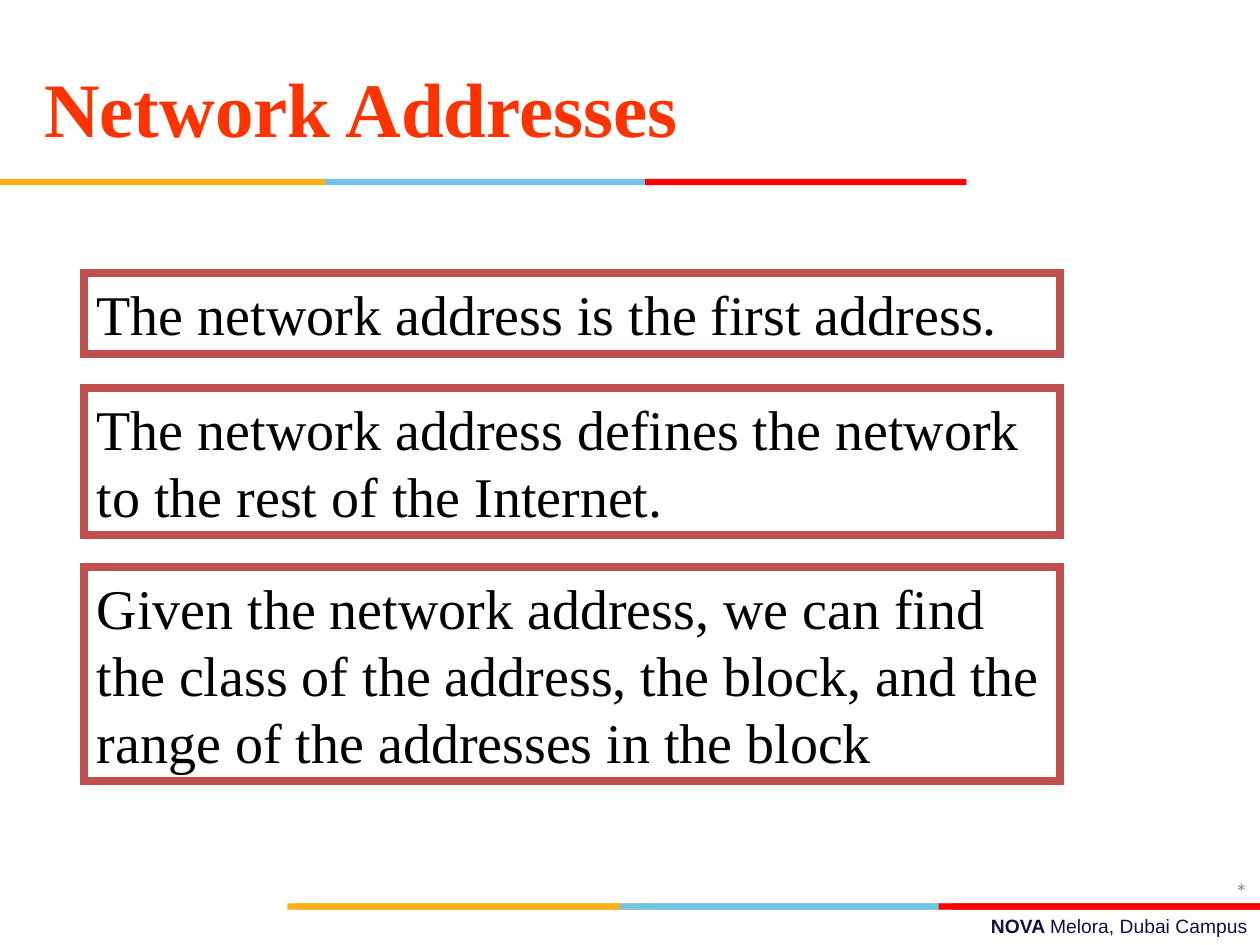
from dataclasses import dataclass

import lxml.etree
import pptx
import pptx.dml.color
import pptx.enum.shapes
import pptx.enum.text
import pptx.oxml.ns
import pptx.util

Inches = pptx.util.Inches
Align = pptx.enum.text.PP_ALIGN
Anchor = pptx.enum.text.MSO_ANCHOR
SERIF = "Times New Roman"
YELLOW, BLUE, RED = "FCB017", "76C2E5", "FF0000"


@dataclass
class Stripe:
    left: float
    top: float
    width: float
    color: str


@dataclass
class Span:
    text: str
    size: float
    font: str
    color: str
    bold: bool = False


@dataclass
class Statement:
    top: float
    height: float
    text: str


def rgb(value: str) -> pptx.dml.color.RGBColor:
    return pptx.dml.color.RGBColor.from_string(value)


def place(box, left: float, top: float, width: float, height: float) -> None:
    box.left, box.top = Inches(left), Inches(top)
    box.width, box.height = Inches(width), Inches(height)


def write(box, spans: list[Span], align=Align.LEFT, anchor=Anchor.TOP) -> None:
    frame = box.text_frame
    frame.word_wrap = True
    frame.auto_size = pptx.enum.text.MSO_AUTO_SIZE.NONE
    frame.vertical_anchor = anchor
    para = frame.paragraphs[0]
    para.alignment = align
    para.line_spacing = 1.0
    for span in spans:
        run = para.add_run()
        run.text = span.text
        run.font.size = pptx.util.Pt(span.size)
        run.font.name = span.font
        run.font.bold = span.bold
        run.font.color.rgb = rgb(span.color)


def add_rectangle(page, left: float, top: float, width: float, height: float):
    box = page.shapes.add_shape(
        pptx.enum.shapes.MSO_SHAPE.RECTANGLE,
        Inches(left), Inches(top), Inches(width), Inches(height))
    box.shadow.inherit = False
    return box


def add_stripe(page, stripe: Stripe) -> None:
    box = add_rectangle(page, stripe.left, stripe.top, stripe.width, 0.05)
    box.fill.solid()
    box.fill.fore_color.rgb = rgb(stripe.color)
    box.line.fill.background()


def add_statement(page, statement: Statement) -> None:
    box = add_rectangle(page, 0.67, statement.top, 7.74, statement.height)
    box.fill.background()
    box.line.color.rgb = rgb("C0504D")
    box.line.width = pptx.util.Pt(4.5)
    miter = lxml.etree.SubElement(
        box.get_or_add_ln(), pptx.oxml.ns.qn("a:miter"))
    miter.set("lim", "800000")
    write(box, [Span(statement.text, 32, SERIF, "000000")])


def add_label(page, left: float, top: float, width: float, height: float,
              spans: list[Span], anchor=Anchor.TOP) -> None:
    box = page.shapes.add_textbox(
        Inches(left), Inches(top), Inches(width), Inches(height))
    write(box, spans, Align.RIGHT, anchor)


STRIPES = [
    Stripe(5.06, 7.17, 2.55, BLUE),
    Stripe(7.56, 7.17, 2.44, "E31C24"),
    Stripe(2.28, 7.17, 2.82, YELLOW),
    Stripe(4.92, 7.17, 2.55, BLUE),
    Stripe(2.33, 7.17, 2.58, YELLOW),
    Stripe(7.45, 7.17, 2.55, RED),
    Stripe(2.58, 1.42, 2.55, BLUE),
    Stripe(0, 1.42, 2.58, YELLOW),
    Stripe(5.12, 1.42, 2.55, RED),
]
STATEMENTS = [
    Statement(2.17, 0.64, "The network address is the first address."),
    Statement(3.08, 1.17, "The network address defines the network "
                          "to the rest of the Internet."),
    Statement(4.5, 1.7, "Given the network address, we can find the class "
                        "of the address, the block, and the range of the "
                        "addresses in the block"),
]

deck = pptx.Presentation()
deck.slide_width, deck.slide_height = Inches(10), Inches(7.5)
page = deck.slides.add_slide(deck.slide_layouts.get_by_name("Title Only"))

add_label(page, 3.58, 7.21, 6.42, 0.29, [
    Span("NOVA ", 11, "Arial", "101141", True),
    Span("Melora, Dubai Campus", 11, "Arial", "101141"),
])
for stripe in STRIPES:
    add_stripe(page, stripe)
add_label(page, 7.92, 6.83, 2.08, 0.5,
          [Span("*", 14, "Calibri", "898989")], Anchor.MIDDLE)

title = page.shapes.title
place(title, 0.25, 0.43, 5.5, 0.84)
write(title, [Span("Network Addresses", 44, SERIF, "FF3300", True)])
for statement in STATEMENTS:
    add_statement(page, statement)

deck.save("out.pptx")
